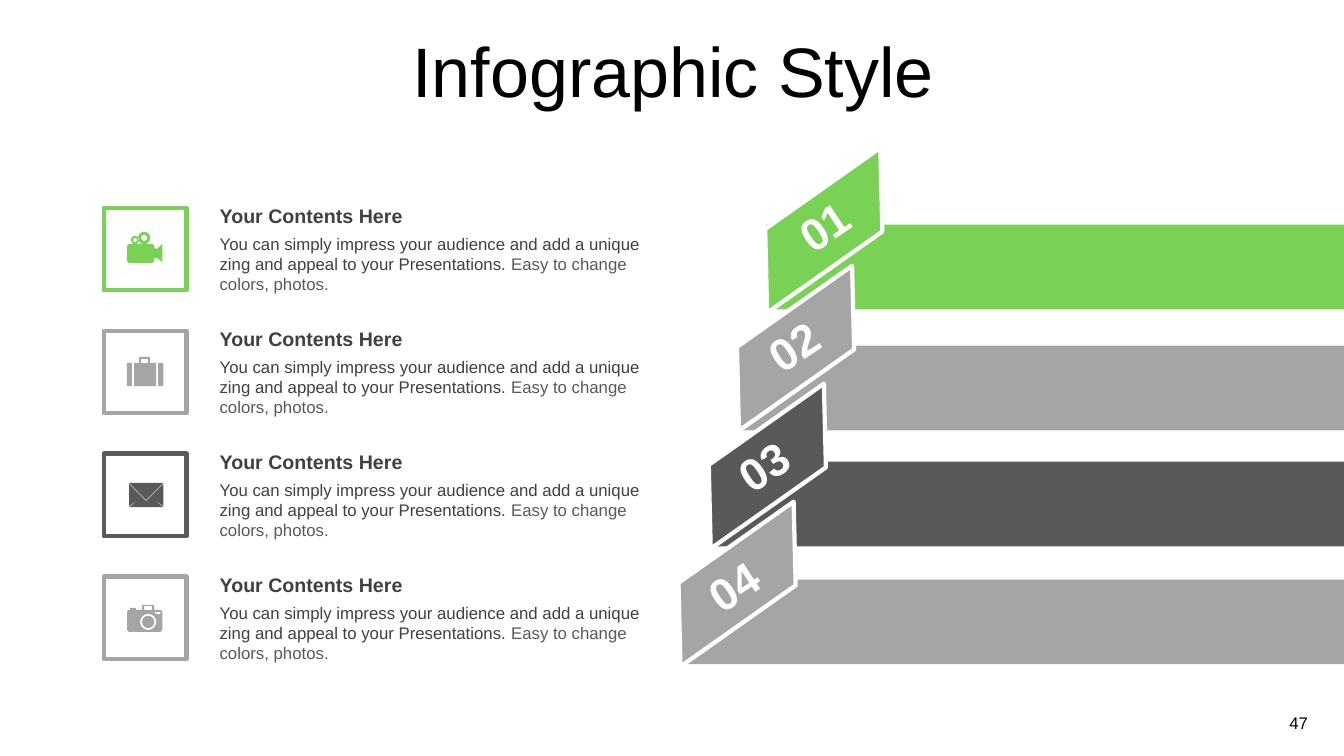
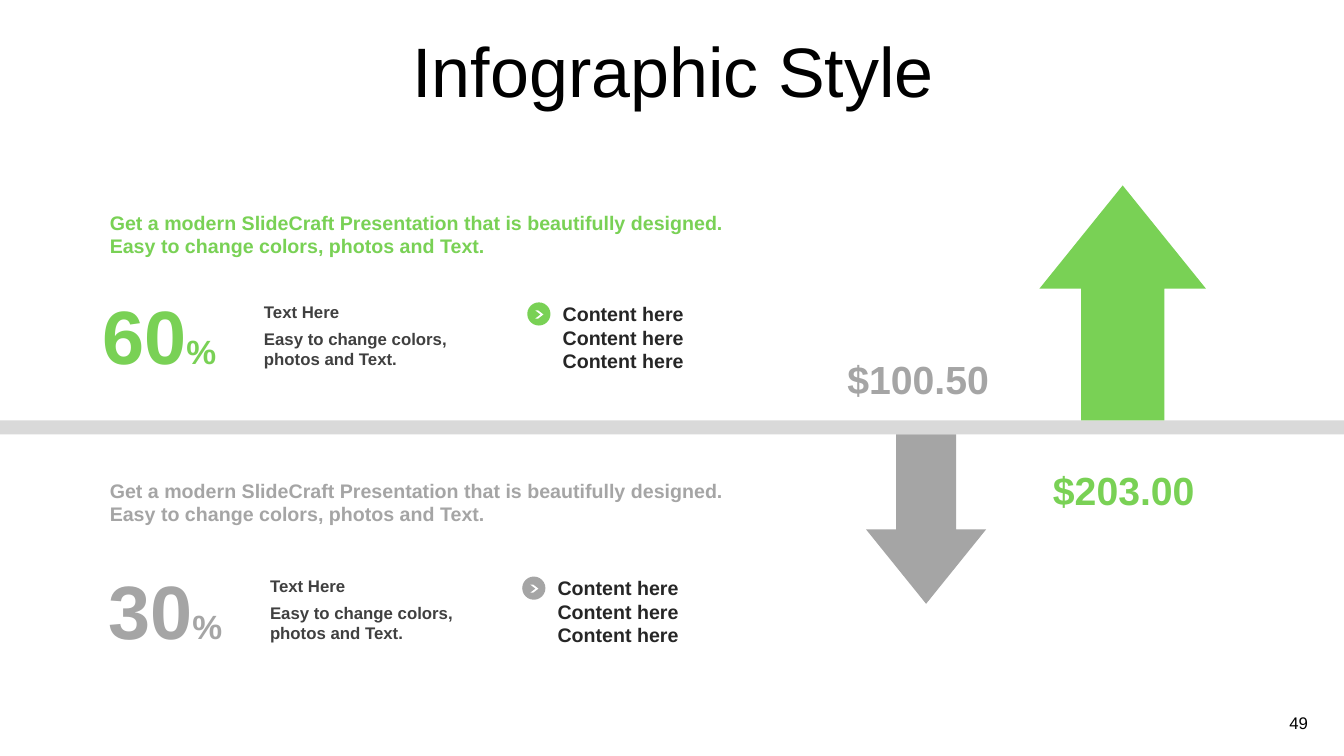
from dataclasses import dataclass
from math import cos, pi, sin

from lxml import etree
from pptx import Presentation
from pptx.dml.color import RGBColor
from pptx.enum.shapes import MSO_SHAPE
from pptx.enum.text import MSO_ANCHOR, MSO_AUTO_SIZE, PP_ALIGN
from pptx.oxml.ns import qn
from pptx.slide import Slide
from pptx.text.text import TextFrame
from pptx.util import Inches, Pt

RECT, OVAL = MSO_SHAPE.RECTANGLE, MSO_SHAPE.OVAL
SLANT, ARROW = MSO_SHAPE.PARALLELOGRAM, MSO_SHAPE.UP_ARROW
CHEVRON = MSO_SHAPE.CHEVRON
TOP, MIDDLE = MSO_ANCHOR.TOP, MSO_ANCHOR.MIDDLE
LEFT, CENTER = PP_ALIGN.LEFT, PP_ALIGN.CENTER
FIXED = MSO_AUTO_SIZE.NONE

FONT = "Arial"
COLORS = {
    "green": "79D155", "gray": "A5A5A5", "dark": "595959", "rule": "D9D9D9",
    "text": "404040", "ink": "262626", "black": "000000", "white": "FFFFFF",
}
TITLE_ONLY, TWO_LISTS = 5, 3

Point = tuple[float, float]
Outline = list[Point]


@dataclass
class Step:
    color: str
    bar_left: float
    bar_top: float
    badge_left: float
    icon: list[Outline]


@dataclass
class Stat:
    color: str
    value: str
    left: float
    top: float
    lead_top: float
    dot_left: float


@dataclass
class Trend:
    color: str
    price: str
    price_at: Point
    arrow: tuple[float, float, float, float]
    turn: float


# Shared helpers
def rgb(name: str) -> RGBColor:
    return RGBColor.from_string(COLORS[name])


def style(frame: TextFrame, size: float, color: str, bold: bool = False,
          align: PP_ALIGN = LEFT) -> None:
    for para in frame.paragraphs:
        para.alignment = align
        for run in para.runs:
            run.font.name, run.font.size = FONT, Pt(size)
            run.font.bold, run.font.color.rgb = bold, rgb(color)


def place(shape, left: float, top: float, width: float, height: float) -> None:
    shape.left, shape.top = Inches(left), Inches(top)
    shape.width, shape.height = Inches(width), Inches(height)


def label(slide: Slide, text: str, left: float, top: float, width: float,
          height: float, size: float, color: str, bold: bool = False,
          align: PP_ALIGN = LEFT, anchor: MSO_ANCHOR = TOP, turn: float = 0,
          wrap: bool = True) -> TextFrame:
    box = slide.shapes.add_textbox(Inches(left), Inches(top), Inches(width),
                                   Inches(height))
    box.rotation = turn
    frame = box.text_frame
    frame.word_wrap, frame.vertical_anchor = wrap, anchor
    frame.text = text
    style(frame, size, color, bold, align)
    return frame


def extend(frame: TextFrame, text: str, size: float, color: str,
           bold: bool = False) -> None:
    """Add a run with its own look to the first paragraph."""
    run = frame.paragraphs[0].add_run()
    run.text = text
    run.font.name, run.font.size = FONT, Pt(size)
    run.font.bold, run.font.color.rgb = bold, rgb(color)


def paint(shape, fill: str, line: str = "") -> None:
    shape.shadow.inherit = False
    shape.fill.solid()
    shape.fill.fore_color.rgb = rgb(fill)
    if line:
        shape.line.color.rgb, shape.line.width = rgb(line), Pt(3)
    else:
        shape.line.fill.background()


def block(slide: Slide, kind: MSO_SHAPE, left: float, top: float, width: float,
          height: float, fill: str, line: str = "", turn: float = 0,
          adjust: tuple[float, ...] = ()) -> None:
    shape = slide.shapes.add_shape(kind, Inches(left), Inches(top),
                                   Inches(width), Inches(height))
    for index, value in enumerate(adjust):
        shape.adjustments[index] = value
    shape.rotation = turn
    paint(shape, fill, line)


def start(deck, layout: int, number: str) -> Slide:
    """Add a slide with the common title and page number."""
    slide = deck.slides.add_slide(deck.slide_layouts[layout])
    title = slide.shapes.title
    place(title, 0.35, 0.37, 12.66, 0.79)
    frame = title.text_frame
    frame.auto_size, frame.vertical_anchor = FIXED, MIDDLE
    frame.margin_top, frame.margin_bottom = Inches(0.1), Inches(0.05)
    frame.text = "Infographic Style"
    frame.paragraphs[0].line_spacing = 0.7
    frame.paragraphs[0].space_before = Pt(10)
    style(frame, 50, "black", align=CENTER)
    label(slide, number, 12.69, 7.02, 0.41, 0.3, 12, "black", wrap=False)
    return slide


# Icons: outlines measured from the corner of their frame
def box(left: float, top: float, width: float, height: float,
        radius: float = 0) -> Outline:
    right, low = left + width - radius, top + height - radius
    left, top = left + radius, top + radius
    if not radius:
        return [(left, top), (right, top), (right, low), (left, low)]
    hubs = [(right, low), (left, low), (left, top), (right, top)]
    return [(x + radius * cos((turn + part / 6) * pi / 2),
             y + radius * sin((turn + part / 6) * pi / 2))
            for turn, (x, y) in enumerate(hubs) for part in range(7)]


def disc(x: float, y: float, radius: float) -> Outline:
    return box(x - radius, y - radius, 2 * radius, 2 * radius, radius)


VIDEO = [
    disc(0.31, 0.32, 0.04), disc(0.31, 0.32, 0.02),
    disc(0.4, 0.3, 0.06), disc(0.4, 0.3, 0.03),
    box(0.23, 0.36, 0.27, 0.19, 0.03),
    [(0.5, 0.4), (0.53, 0.41), (0.58, 0.36), (0.58, 0.54), (0.53, 0.5),
     (0.5, 0.5)],
]
CASE = [
    box(0.23, 0.32, 0.05, 0.23, 0.01), box(0.3, 0.32, 0.22, 0.23),
    box(0.54, 0.32, 0.05, 0.23, 0.01),
    box(0.35, 0.26, 0.11, 0.06), box(0.37, 0.28, 0.07, 0.04),
]
MAIL = [
    [(0.46, 0.43), (0.59, 0.53), (0.25, 0.53), (0.38, 0.43), (0.42, 0.47)],
    [(0.59, 0.3), (0.59, 0.52), (0.46, 0.43)],
    [(0.25, 0.3), (0.38, 0.43), (0.25, 0.52)],
    [(0.25, 0.29), (0.59, 0.29), (0.42, 0.46)],
]
PHOTO = [
    box(0.23, 0.33, 0.35, 0.22, 0.03), box(0.51, 0.35, 0.05, 0.02),
    box(0.26, 0.31, 0.06, 0.02),
    box(0.38, 0.28, 0.12, 0.05), box(0.4, 0.29, 0.08, 0.04),
    disc(0.44, 0.45, 0.08), disc(0.44, 0.45, 0.06),
]


def draw(slide: Slide, icon: list[Outline], left: float, top: float,
         color: str) -> None:
    paths = [[(Inches(left + x), Inches(top + y)) for x, y in outline]
             for outline in icon]
    pen = slide.shapes.build_freeform(*paths[0][0])
    for points in paths:
        pen.move_to(*points[0])
        pen.add_line_segments(points[1:], close=True)
    paint(pen.convert_to_shape(), color)


# Slide with four numbered steps
STEPS = [
    Step("green", 7.6, 2.23, 7.24, VIDEO),
    Step("gray", 7.32, 3.43, 6.96, CASE),
    Step("dark", 7.06, 4.58, 6.68, MAIL),
    Step("gray", 6.75, 5.75, 6.38, PHOTO),
]


def steps(deck) -> None:
    slide = start(deck, TITLE_ONLY, "47")
    for step in STEPS:
        block(slide, RECT, step.bar_left, step.bar_top,
              13.33 - step.bar_left, 0.84, step.color)
    for index, step in reversed(list(enumerate(STEPS))):
        block(slide, SLANT, step.badge_left, 1.94 + 1.17 * index, 1.86, 0.69,
              step.color, "white", 144.8, (0.67,))
    for index, step in enumerate(STEPS):
        label(slide, f"{index + 1:02}", 7.65 - 0.3 * index,
              1.92 + 1.19 * index, 1.05, 0.64, 32, "white", True, CENTER,
              turn=326.5)
        left, top = 1.03, 2.06 + 1.22 * index
        block(slide, RECT, left, top, 0.82, 0.82, "white", step.color)
        draw(slide, step.icon, left, top, step.color)
        label(slide, "Your Contents Here", 2.08, top - 0.09, 4.48, 0.34, 14,
              "text", True)
        body = label(slide, "You can simply impress your audience and add a "
                     "unique zing and appeal to your Presentations. ",
                     2.08, top + 0.21, 4.48, 0.71, 12, "text")
        extend(body, "Easy to change colors, photos.", 12, "dark")


# Slide with rising and falling figures
STATS = [
    Stat("green", "60", 0.87, 2.94, 2.04, 5.23),
    Stat("gray", "30", 0.93, 5.66, 4.7, 5.18),
]
TRENDS = [
    Trend("green", "$203.00", (10.19, 4.57), (10.31, 1.84, 1.65, 2.33), 0),
    Trend("gray", "$100.50", (8.15, 3.47), (8.59, 4.31, 1.19, 1.68), 180),
]


def points(holder, left: float, top: float) -> None:
    """Fill a body placeholder with an unmarked list."""
    place(holder, left, top, 1.5, 0.81)
    frame = holder.text_frame
    frame.auto_size, frame.vertical_anchor = FIXED, MIDDLE
    frame.text = "\n".join(["Content here"] * 3)
    style(frame, 14, "ink", True)
    for para in frame.paragraphs:
        para.space_before = Pt(0)
        props = para._p.get_or_add_pPr()
        props.set("marL", "0")
        props.set("indent", "0")
        etree.SubElement(props, qn("a:buNone"))


def trends(deck) -> None:
    slide = start(deck, TWO_LISTS, "49")
    block(slide, RECT, 0, 4.17, 13.33, 0.14, "rule")
    for trend in TRENDS:
        block(slide, ARROW, *trend.arrow, trend.color, turn=trend.turn,
              adjust=(0.5, 0.62))
        label(slide, trend.price, *trend.price_at, 1.91, 0.57, 28,
              trend.color, True, CENTER, MIDDLE)
    lists = list(slide.placeholders)[1:]
    for stat, holder in zip(STATS, lists):
        top, dot = stat.top, stat.dot_left
        label(slide, "Get a modern SlideCraft Presentation that is "
              "beautifully designed. Easy to change colors, photos and Text.",
              0.99, stat.lead_top, 6.49, 0.57, 14, stat.color, True)
        value = label(slide, stat.value, stat.left, top - 0.12, 1.42, 1.01,
                      54, stat.color, True, CENTER)
        extend(value, "%", 24, stat.color, True)
        left = stat.left + 1.65
        label(slide, "Text Here", left, top, 2.07, 0.3, 12, "text", True,
              anchor=MIDDLE)
        label(slide, "Easy to change colors, photos and Text.", left,
              top + 0.27, 2.07, 0.5, 12, "text", True)
        block(slide, OVAL, dot, top + 0.06, 0.23, 0.23, stat.color)
        block(slide, CHEVRON, dot + 0.08, top + 0.14, 0.08, 0.08, "white",
              adjust=(0.65,))
        points(holder, dot + 0.25, top)


def main() -> None:
    deck = Presentation()
    deck.slide_width, deck.slide_height = Inches(13.33), Inches(7.5)
    steps(deck)
    trends(deck)
    deck.save("out.pptx")


if __name__ == "__main__":
    main()
